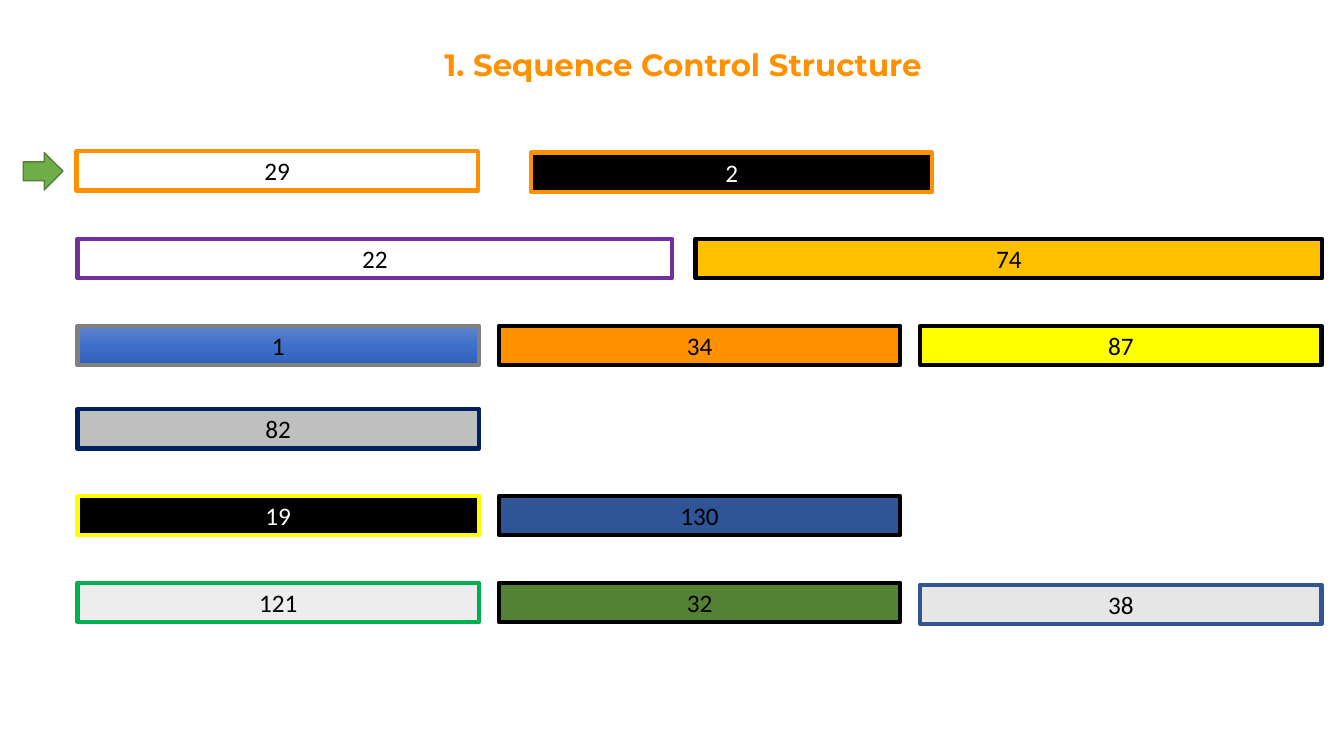
from copy import deepcopy

from pptx import Presentation
from pptx.dml.color import RGBColor
from pptx.enum import shapes, text
from pptx.util import Pt

COLOURS = {
    "white": "FFFFFF", "black": "000000", "orange": "FF9000", "purple": "7030A0",
    "gold": "FFC000", "grey": "808080", "yellow": "FFFF00", "silver": "BFBFBF",
    "navy": "002060", "blue": "2F5597", "mist": "EDEDED", "emerald": "00B050",
    "forest": "548235", "pearl": "E7E6E6", "slate": "325491",
    "leaf": "70AD47", "leaf_edge": "538035",
    "sky_top": "6183CB", "sky_middle": "3E70CA", "sky_bottom": "3062BB",
}
SKY = ("sky_top", "sky_middle", "sky_bottom")
BAR_WIDTH, BAR_HEIGHT = 286.6, 28.1
COLUMNS = [55.4 + 301 * column for column in range(3)]
ROWS = [108, 170.6, 232.6, 292.3, 354.2, 416.2]


def colour(name):
    return RGBColor.from_string(COLOURS[name])


def paint_gradient(fill, names):
    fill.gradient()
    fill.gradient_angle = 270
    first = fill.gradient_stops[0]._gs
    first.addnext(deepcopy(first))
    for index, (stop, name) in enumerate(zip(fill.gradient_stops, names)):
        stop.position = index / (len(names) - 1)
        stop.color.rgb = colour(name)


def add_block(page, kind, left, top, width, height, fill, edge, weight):
    block = page.shapes.add_shape(kind, Pt(left), Pt(top), Pt(width), Pt(height))
    block.shadow.inherit = False
    if isinstance(fill, tuple):
        paint_gradient(block.fill, fill)
    else:
        block.fill.solid()
        block.fill.fore_color.rgb = colour(fill)
    block.line.color.rgb = colour(edge)
    block.line.width = Pt(weight)
    return block


def style_text(paragraph, font, size, name, bold=False):
    for span in paragraph.runs:
        span.font.name = font
        span.font.size = Pt(size)
        span.font.bold = bold
        span.font.color.rgb = colour(name)


def add_bar(page, value, left, top, fill, edge, width=BAR_WIDTH):
    bar = add_block(page, shapes.MSO_SHAPE.RECTANGLE, left, top, width, BAR_HEIGHT,
                    fill, edge, 3)
    frame = bar.text_frame
    frame.text = str(value)
    frame.vertical_anchor = text.MSO_ANCHOR.MIDDLE
    paragraph = frame.paragraphs[0]
    paragraph.alignment = text.PP_ALIGN.CENTER
    style_text(paragraph, "Calibri", 18, "white" if fill == "black" else "black")


def add_title(page, words):
    box = page.shapes.add_textbox(Pt(310.3), Pt(28.8), Pt(360.7), Pt(33.8))
    frame = box.text_frame
    frame.word_wrap = False
    frame.auto_size = text.MSO_AUTO_SIZE.SHAPE_TO_FIT_TEXT
    frame.text = words
    style_text(frame.paragraphs[0], "Montserrat", 22, "orange", bold=True)


def main():
    deck = Presentation()
    deck.slide_width, deck.slide_height = Pt(960), Pt(540)
    page = deck.slides.add_slide(deck.slide_layouts[6])

    first, second, third = COLUMNS
    bars = [
        (29, 54.7, ROWS[0], "white", "orange"),
        (2, 379.4, ROWS[0] + 0.9, "black", "orange"),
        (22, first, ROWS[1], "white", "purple", 424.8),
        (74, 496.8, ROWS[1], "gold", "black", 447.6),
        (1, first, ROWS[2], SKY, "grey"),
        (34, second, ROWS[2], "orange", "black"),
        (87, third, ROWS[2], "yellow", "black"),
        (82, first, ROWS[3], "silver", "navy"),
        (19, first, ROWS[4], "black", "yellow"),
        (130, second, ROWS[4], "blue", "black"),
        (121, first, ROWS[5], "mist", "emerald"),
        (32, second, ROWS[5], "forest", "black"),
        (38, third, ROWS[5] + 1.4, "pearl", "slate"),
    ]
    for bar in bars:
        add_bar(page, *bar)

    add_title(page, "1. Sequence Control Structure")
    add_block(page, shapes.MSO_SHAPE.RIGHT_ARROW, 16.6, 108.9, 28.4, 26.8,
              "leaf", "leaf_edge", 1)
    deck.save("out.pptx")


main()
